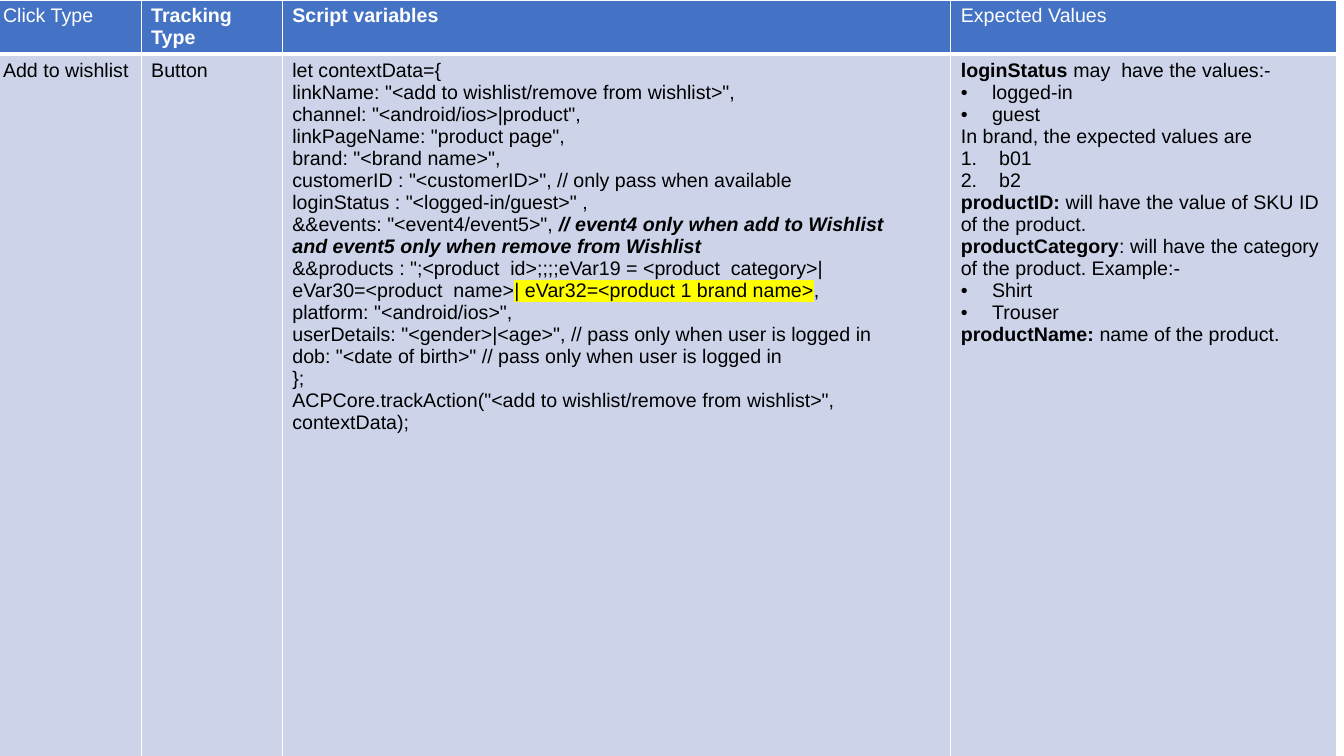
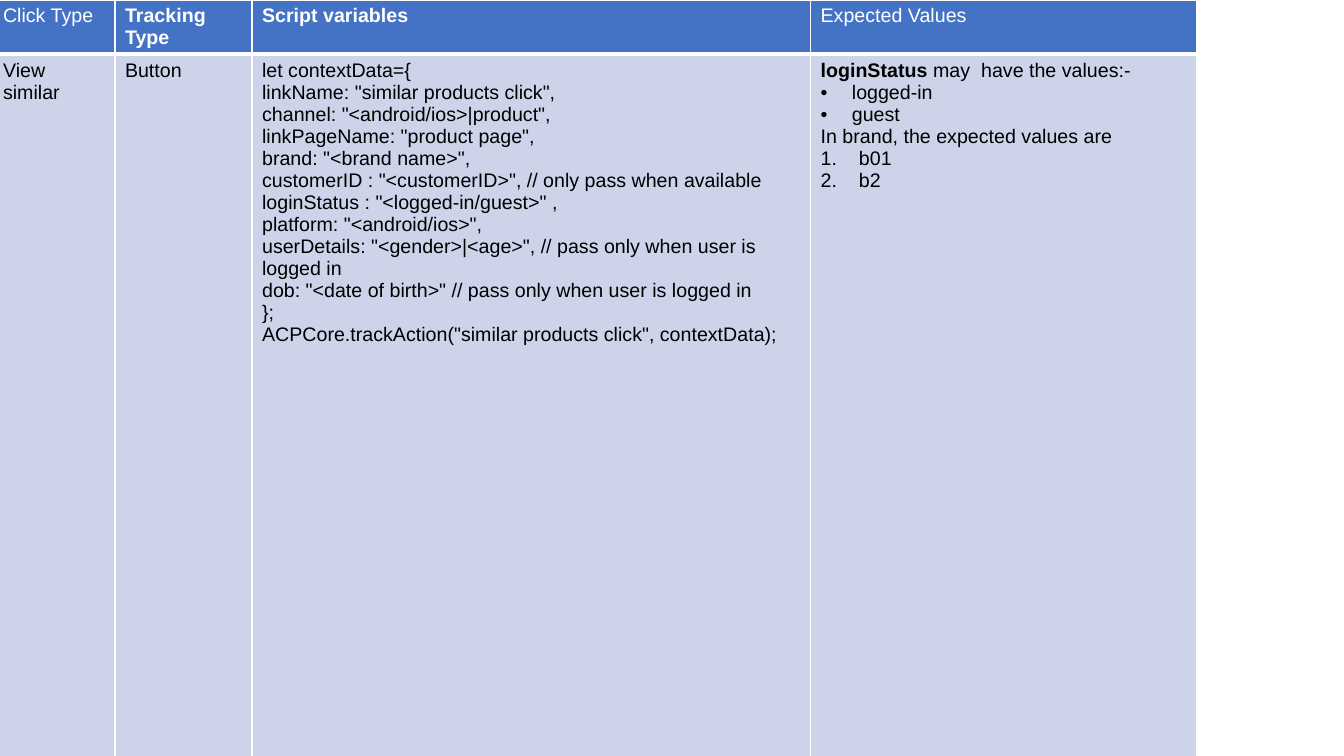
from lxml import etree
from pptx import Presentation
from pptx.dml.color import RGBColor
from pptx.oxml.ns import qn
from pptx.util import Inches, Pt

FONT = "Arial"
FONT_SIZE = Pt(14)
WHITE = RGBColor(0xFF, 0xFF, 0xFF)
BLACK = RGBColor(0x00, 0x00, 0x00)
HEADER_BLUE = RGBColor(0x44, 0x72, 0xC4)
BODY_BLUE = RGBColor(0xCD, 0xD4, 0xEA)
YELLOW = RGBColor(0xFF, 0xFF, 0x00)

TABLE_LEFT = Inches(-0.07)
ROW_HEIGHTS = (0.38, 7.12)
THIN, THICK = Pt(1), Pt(3)
NO_BREAK_SPACE = chr(160)

# Run styles and list styles
PLAIN, BOLD, BOLD_ITALIC, MARKED = "plain", "bold", "bold italic", "marked"
BULLET, NUMBER = "bullet", "number"
LIST_INDENTS = {BULLET: Inches(0.31), NUMBER: Inches(0.38)}

HEADERS = (
    ("Click Type", PLAIN),
    ("Tracking Type", BOLD),
    ("Script variables", BOLD),
    ("Expected Values", PLAIN),
)


def line(*runs, list_style=None):
    """Describe one paragraph; a bare string is a plain run."""
    return list_style, [(run, PLAIN) if isinstance(run, str) else run for run in runs]


def script_lines(link_name, event_lines=()):
    """Code of one tracking call, with event lines before the platform."""
    return [
        line("let contextData={"),
        line(f'linkName: "{link_name}",'),
        line('channel: "<android/ios>|product",'),
        line('linkPageName: "product page",'),
        line('brand: "<brand name>",'),
        line('customerID : "<customerID>", // only pass when available'),
        line('loginStatus : "<logged-in/guest>" ,'),
        *event_lines,
        line('platform: "<android/ios>",'),
        line('userDetails: "<gender>|<age>", // pass only when user is logged in'),
        line('dob: "<date of birth>" // pass only when user is logged in'),
        line("};"),
        line(f'ACPCore.trackAction("{link_name}", contextData);'),
    ]


WISHLIST_EVENTS = [
    line(
        '&&events: "<event4/event5>", ',
        (f"// event4 only when add to Wishlist and{NO_BREAK_SPACE}event5 "
         "only when remove from Wishlist", BOLD_ITALIC),
    ),
    line(
        '&&products : ";<product  id>;;;;eVar19 = <product  category>|eVar30=<product  name>',
        ("| eVar32=<product 1 brand name>", MARKED),
        ",",
    ),
]
LOGIN_AND_BRAND_VALUES = [
    line(("loginStatus ", BOLD), "may  have the values:-"),
    line("logged-in", list_style=BULLET),
    line("guest", list_style=BULLET),
    line("In brand, the expected values are"),
    line("b01", list_style=NUMBER),
    line("b2", list_style=NUMBER),
]
PRODUCT_VALUES = [
    line(("productID:", BOLD), " will have the value of SKU ID of the product."),
    line(("productCategory", BOLD), ": will have the category of the product. Example:-"),
    line("Shirt", list_style=BULLET),
    line("Trouser", list_style=BULLET),
    line(("productName: ", BOLD), "name of the product."),
]


def set_list_style(paragraph, list_style):
    indent = LIST_INDENTS[list_style]
    properties = paragraph._p.get_or_add_pPr()
    properties.set("marL", str(indent))
    properties.set("indent", str(-indent))
    if list_style == BULLET:
        etree.SubElement(properties, qn("a:buFont")).set("typeface", FONT)
        etree.SubElement(properties, qn("a:buChar")).set("char", "•")
    else:
        etree.SubElement(properties, qn("a:buAutoNum")).set("type", "arabicPeriod")


def highlight(run, color):
    mark = etree.SubElement(run._r.get_or_add_rPr(), qn("a:highlight"))
    etree.SubElement(mark, qn("a:srgbClr")).set("val", str(color))


def write_lines(cell, lines, color):
    frame = cell.text_frame
    for index, (list_style, runs) in enumerate(lines):
        paragraph = frame.add_paragraph() if index else frame.paragraphs[0]
        if list_style:
            set_list_style(paragraph, list_style)
        paragraph.font.name = FONT
        paragraph.font.size = FONT_SIZE
        paragraph.font.color.rgb = color
        for text, style in runs:
            run = paragraph.add_run()
            run.text = text
            run.font.bold = style in (BOLD, BOLD_ITALIC)
            run.font.italic = style == BOLD_ITALIC
            if style == MARKED:
                highlight(run, YELLOW)


def set_borders(cell, top, bottom):
    """Draw white borders; they must precede the fill in the cell's XML."""
    properties = cell._tc.get_or_add_tcPr()
    widths = {"a:lnL": THIN, "a:lnR": THIN, "a:lnT": top, "a:lnB": bottom}
    for tag, width in widths.items():
        border = etree.SubElement(properties, qn(tag))
        border.set("w", str(width))
        fill = etree.SubElement(border, qn("a:solidFill"))
        etree.SubElement(fill, qn("a:srgbClr")).set("val", str(WHITE))


def fill_cell(cell, lines, text_color, fill_color, top, bottom):
    set_borders(cell, top, bottom)
    cell.fill.solid()
    cell.fill.fore_color.rgb = fill_color
    write_lines(cell, lines, text_color)


def add_tracking_slide(presentation, column_widths, click_type, script, expected):
    slide = presentation.slides.add_slide(presentation.slide_layouts[6])
    table = slide.shapes.add_table(
        len(ROW_HEIGHTS), len(column_widths), TABLE_LEFT, 0,
        Inches(sum(column_widths)), Inches(sum(ROW_HEIGHTS)),
    ).table
    table.first_row = False
    table.horz_banding = False
    for column, width in zip(table.columns, column_widths):
        column.width = Inches(width)
    for row, height in zip(table.rows, ROW_HEIGHTS):
        row.height = Inches(height)

    body = ([line(click_type)], [line("Button")], script, expected)
    for index, (header, lines) in enumerate(zip(HEADERS, body)):
        fill_cell(table.cell(0, index), [line(header)], WHITE, HEADER_BLUE, THIN, THICK)
        fill_cell(table.cell(1, index), lines, BLACK, BODY_BLUE, THICK, THIN)


def main():
    presentation = Presentation()
    presentation.slide_width = Inches(13.33)
    presentation.slide_height = Inches(7.5)
    add_tracking_slide(
        presentation, (1.47, 1.4, 6.63, 3.83), "Add to wishlist",
        script_lines("<add to wishlist/remove from wishlist>", WISHLIST_EVENTS),
        LOGIN_AND_BRAND_VALUES + PRODUCT_VALUES,
    )
    add_tracking_slide(
        presentation, (1.21, 1.36, 5.54, 3.83), "View similar",
        script_lines("similar products click"), LOGIN_AND_BRAND_VALUES,
    )
    presentation.save("out.pptx")


if __name__ == "__main__":
    main()
